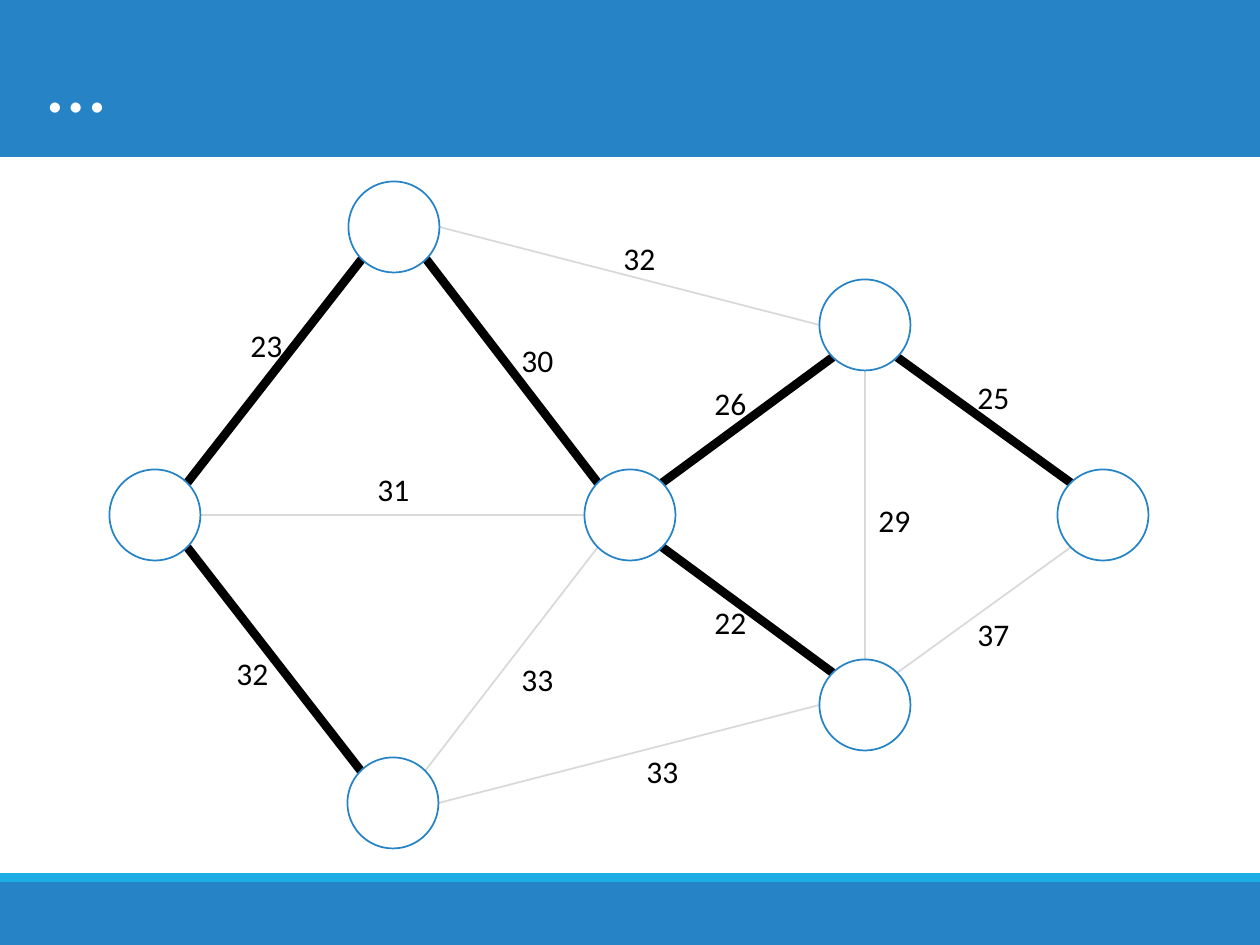
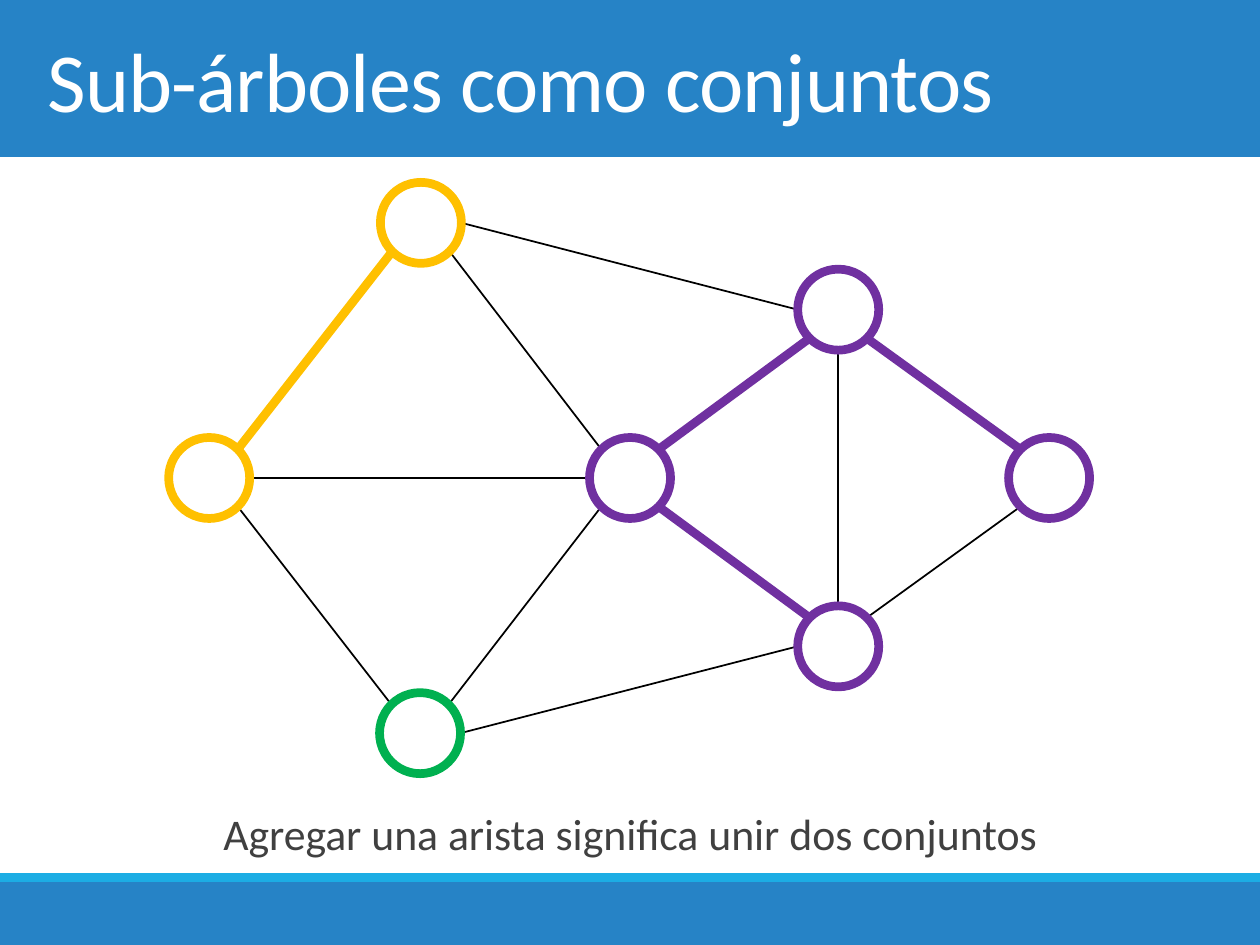
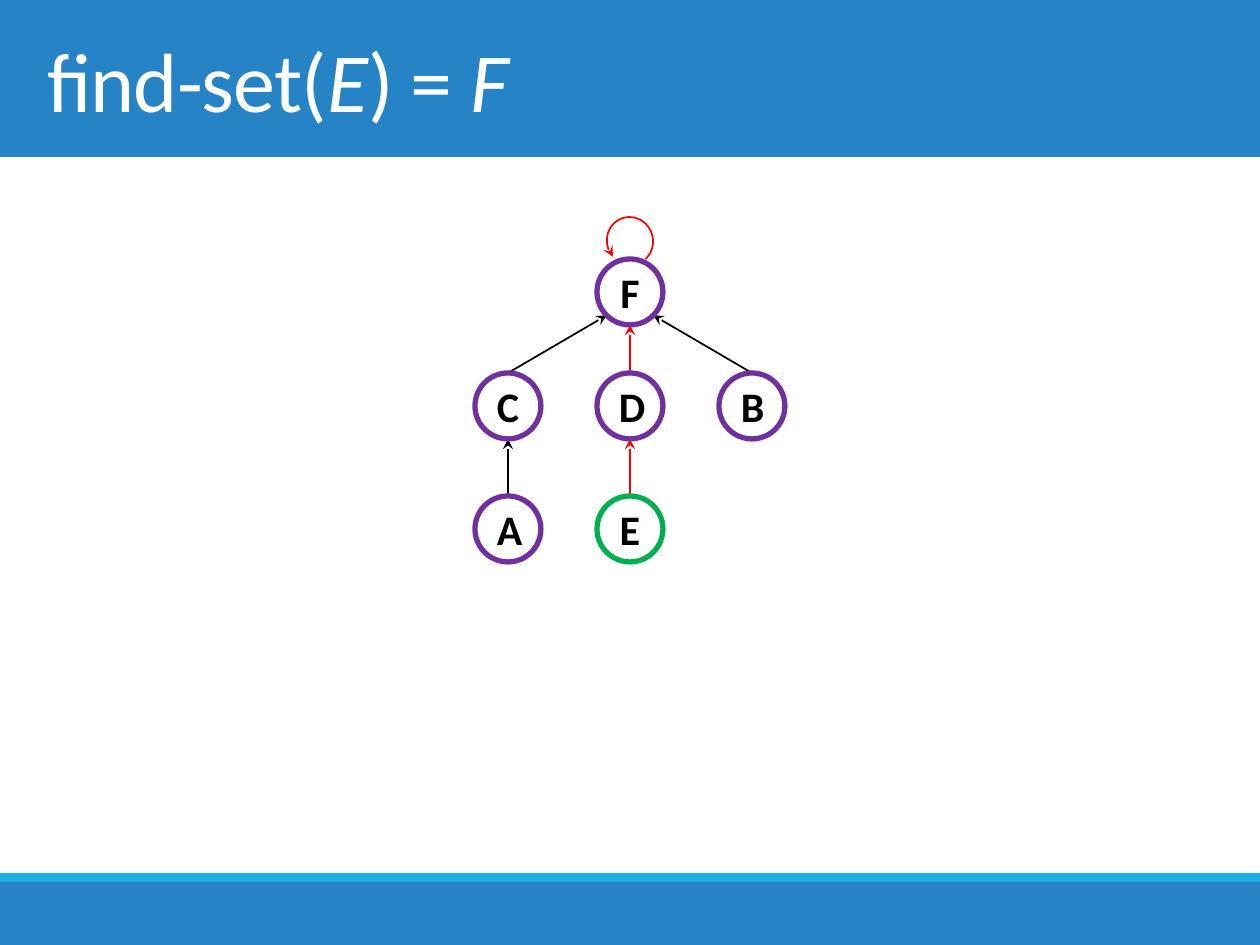
from math import sqrt

from lxml.etree import SubElement
from pptx import Presentation
from pptx.dml.color import RGBColor
from pptx.enum.shapes import MSO_CONNECTOR, MSO_SHAPE
from pptx.enum.text import MSO_ANCHOR, MSO_AUTO_SIZE, PP_ALIGN
from pptx.oxml.ns import qn
from pptx.util import Emu, Pt

FONT = "Calibri"
PX_PER_INCH = 126
WIDTH, HEIGHT = 1260, 945
COLORS = {
    "band": "2683C6", "accent": "1CADE4", "white": "FFFFFF", "black": "000000",
    "gray": "D9D9D9", "text": "404040", "amber": "FFC000", "purple": "7030A0",
    "green": "00B050", "red": "FF0000",
}
BANDS = [(0, 157, "band"), (882, 63, "band"), (873, 9, "accent")]
TITLE_BOX = (35, 0, 1191, 157)
CAPTION_BOX = (0, 774, 1260, 79)
CAPTION = "Agregar una arista significa unir dos conjuntos"
TITLES = {
    "tree": [("…", False)],
    "sets": [("Sub-árboles como conjuntos", False)],
    "find": [("find-set(", False), ("E", True), (") = ", False), ("F", True)],
}

GRAPH_OFFSETS = {
    "upper": (235, -190), "top": (-236, -288), "bottom": (-237, 288), "middle": (0, 0),
    "lower": (235, 190), "right": (473, 0), "left": (-475, 0),
}
GRAPH_SETS = {
    "upper": "purple", "top": "amber", "bottom": "green", "middle": "purple",
    "lower": "purple", "right": "purple", "left": "amber",
}
GRAPH_EDGES = [
    ("top", "sw", "left", "ne", True, "23", (238, 320)),
    ("top", "se", "middle", "nw", True, "30", (509, 335)),
    ("middle", "ne", "upper", "sw", True, "26", (702, 378)),
    ("upper", "se", "right", "nw", True, "25", (965, 372)),
    ("left", "se", "bottom", "nw", True, "32", (224, 648)),
    ("bottom", "ne", "middle", "sw", False, "33", (509, 654)),
    ("lower", "nw", "middle", "se", True, "22", (702, 597)),
    ("lower", "ne", "right", "sw", False, "37", (965, 609)),
    ("left", "e", "middle", "w", False, "31", (365, 464)),
    ("top", "e", "upper", "w", False, "32", (611, 233)),
    ("upper", "s", "lower", "n", False, "29", (866, 495)),
    ("bottom", "e", "lower", "w", False, "33", (634, 746)),
]
SET_NODES = {
    "D": (630, 406), "B": (752, 406), "A": (508, 529),
    "C": (508, 406), "F": (630, 292), "E": (630, 529),
}
PARENTS = [
    ("D", "F", "s", "red"), ("B", "F", "se", "black"), ("A", "C", "s", "black"),
    ("C", "F", "sw", "black"), ("E", "D", "s", "red"),
]


def px(value):
    """Turn pixels into EMU."""
    return Emu(round(value * 914400 / PX_PER_INCH))


def box(*values):
    """Turn a pixel box into EMU lengths."""
    return [px(v) for v in values]


def rgb(name):
    """Look up a named colour."""
    return RGBColor.from_string(COLORS[name])


def style_run(r, size, color, bold=None, italic=None):
    """Format one run."""
    f = r.font
    f.name, f.size, f.bold, f.italic = FONT, Pt(size), bold, italic
    f.color.rgb = rgb(color)


def add_shape(s, kind, place, fill, line=None, width=1):
    """Add a preset shape with plain styling."""
    sp = s.shapes.add_shape(kind, *box(*place))
    sp.shadow.inherit = False
    if fill:
        sp.fill.solid()
        sp.fill.fore_color.rgb = rgb(fill)
    else:
        sp.fill.background()
    if line:
        sp.line.color.rgb = rgb(line)
        sp.line.width = Pt(width)
    else:
        sp.line.fill.background()
    return sp


def add_arrowhead(sp, end):
    """Put a stealth arrowhead on a line end."""
    SubElement(sp.element.spPr.find(qn("a:ln")), qn(end), type="stealth")


def add_line(s, start, end, color, width=1, arrow=False):
    """Connect two points with a straight line."""
    c = s.shapes.add_connector(MSO_CONNECTOR.STRAIGHT, *box(*start, *end))
    c.line.color.rgb = rgb(color)
    c.line.width = Pt(width)
    if arrow:
        add_arrowhead(c, "a:tailEnd")
    SubElement(c.element.spPr, qn("a:effectLst"))


def add_node(s, center, size, color, width, text=""):
    """Draw a circle around its center, with an optional letter."""
    x, y = center
    place = (x - size / 2, y - size / 2, size, size)
    sp = add_shape(s, MSO_SHAPE.OVAL, place, "white", color, width)
    if text:
        tf = sp.text_frame
        tf.text = text
        tf.vertical_anchor = MSO_ANCHOR.MIDDLE
        p = tf.paragraphs[0]
        p.alignment = PP_ALIGN.CENTER
        style_run(p.runs[0], 24, "black", bold=True)


def rim(center, size, site):
    """Return the point of a circle at a compass site."""
    dx = ("e" in site) - ("w" in site)
    dy = ("s" in site) - ("n" in site)
    reach = size / 2 / sqrt(dx * dx + dy * dy)
    return center[0] + dx * reach, center[1] + dy * reach


def add_graph(s, center_y, scale, size, edge_style, node_style):
    """Draw the weighted graph, edges below nodes."""
    centers = {n: (WIDTH / 2 + dx * scale, center_y + dy * scale)
               for n, (dx, dy) in GRAPH_OFFSETS.items()}
    for a, site_a, b, site_b, in_tree, *_ in GRAPH_EDGES:
        add_line(s, rim(centers[a], size, site_a), rim(centers[b], size, site_b),
                 *edge_style(a, b, in_tree))
    for name, center in centers.items():
        add_node(s, center, size, *node_style(name))


def add_weights(s):
    """Write the weight beside each edge."""
    for *_, weight, spot in GRAPH_EDGES:
        tf = s.shapes.add_textbox(*box(*spot, 58, 50)).text_frame
        tf.text = weight
        tf.word_wrap = False
        tf.auto_size = MSO_AUTO_SIZE.SHAPE_TO_FIT_TEXT
        style_run(tf.paragraphs[0].runs[0], 18, "black")


def add_caption(s):
    """Fill the body placeholder with the centred caption."""
    body = s.placeholders[1]
    body.left, body.top, body.width, body.height = box(*CAPTION_BOX)
    tf = body.text_frame
    tf.text = CAPTION
    tf.auto_size = MSO_AUTO_SIZE.NONE
    p = tf.paragraphs[0]
    p.alignment, p.line_spacing = PP_ALIGN.CENTER, 1.5
    p.space_before, p.space_after = Pt(12), Pt(2)
    pPr = p._p.get_or_add_pPr()
    pPr.set("marL", "0")
    pPr.set("indent", "0")
    SubElement(pPr, qn("a:buNone"))
    style_run(p.runs[0], 25, "text")


def add_slide(prs, layout, title):
    """Add a slide and fill its title."""
    s = prs.slides.add_slide(prs.slide_layouts[layout])
    p = s.shapes.title.text_frame.paragraphs[0]
    for text, italic in title:
        r = p.add_run()
        r.text = text
        r.font.italic = italic
    return s


def style_master(prs, s):
    """Give the master its bands and title style."""
    master = prs.slide_master
    for i, (top, height, color) in enumerate(BANDS):
        sp = add_shape(s, MSO_SHAPE.RECTANGLE, (0, top, WIDTH, height), color)
        sp.element.nvSpPr.cNvPr.set("id", str(100 + i))
        master.shapes.element.insert(2 + i, sp.element)
    title = next(ph for ph in master.placeholders if ph.placeholder_format.idx == 0)
    title.left, title.top, title.width, title.height = box(*TITLE_BOX)
    title.text_frame.vertical_anchor = MSO_ANCHOR.MIDDLE
    level = master.element.find(".//" + qn("p:titleStyle") + "/" + qn("a:lvl1pPr"))
    level.set("algn", "l")
    level.remove(level.find(qn("a:defRPr")))
    rPr = SubElement(level, qn("a:defRPr"), sz="4800", spc="-50")
    fill = SubElement(rPr, qn("a:solidFill"))
    SubElement(fill, qn("a:srgbClr"), val=COLORS["white"])
    SubElement(rPr, qn("a:latin"), typeface=FONT)


def build_tree(s):
    """Show the spanning tree with its weights."""
    add_graph(s, 515, 1, 91,
              lambda a, b, in_tree: ("black", 5) if in_tree else ("gray", 1),
              lambda name: ("band", 1))
    add_weights(s)


def build_sets(s):
    """Show the sub-trees as coloured sets."""
    def edge_style(a, b, in_tree):
        """Colour the tree edges inside one set."""
        joined = in_tree and GRAPH_SETS[a] == GRAPH_SETS[b]
        return (GRAPH_SETS[a], 5) if joined else ("black", 1)

    add_caption(s)
    add_graph(s, 478, 0.886, 81, edge_style, lambda name: (GRAPH_SETS[name], 5))


def build_find(s):
    """Show the path from E to the representative F."""
    size = 66
    for child, parent, site, color in PARENTS:
        add_line(s, rim(SET_NODES[child], size, "n"), rim(SET_NODES[parent], size, site),
                 color, arrow=True)
    loop = add_shape(s, MSO_SHAPE.ARC, (607, 217, 46, 48), None, "red")
    loop.adjustments[0], loop.adjustments[1] = 92.66, 40.09
    loop.rotation = 342.8
    add_arrowhead(loop, "a:headEnd")
    for name, center in SET_NODES.items():
        add_node(s, center, size, "green" if name == "E" else "purple", 3, name)


def main():
    """Build the deck."""
    prs = Presentation()
    prs.slide_width, prs.slide_height = box(WIDTH, HEIGHT)
    tree = add_slide(prs, 5, TITLES["tree"])
    style_master(prs, tree)
    build_tree(tree)
    build_sets(add_slide(prs, 1, TITLES["sets"]))
    build_find(add_slide(prs, 5, TITLES["find"]))
    prs.save("out.pptx")


if __name__ == "__main__":
    main()
